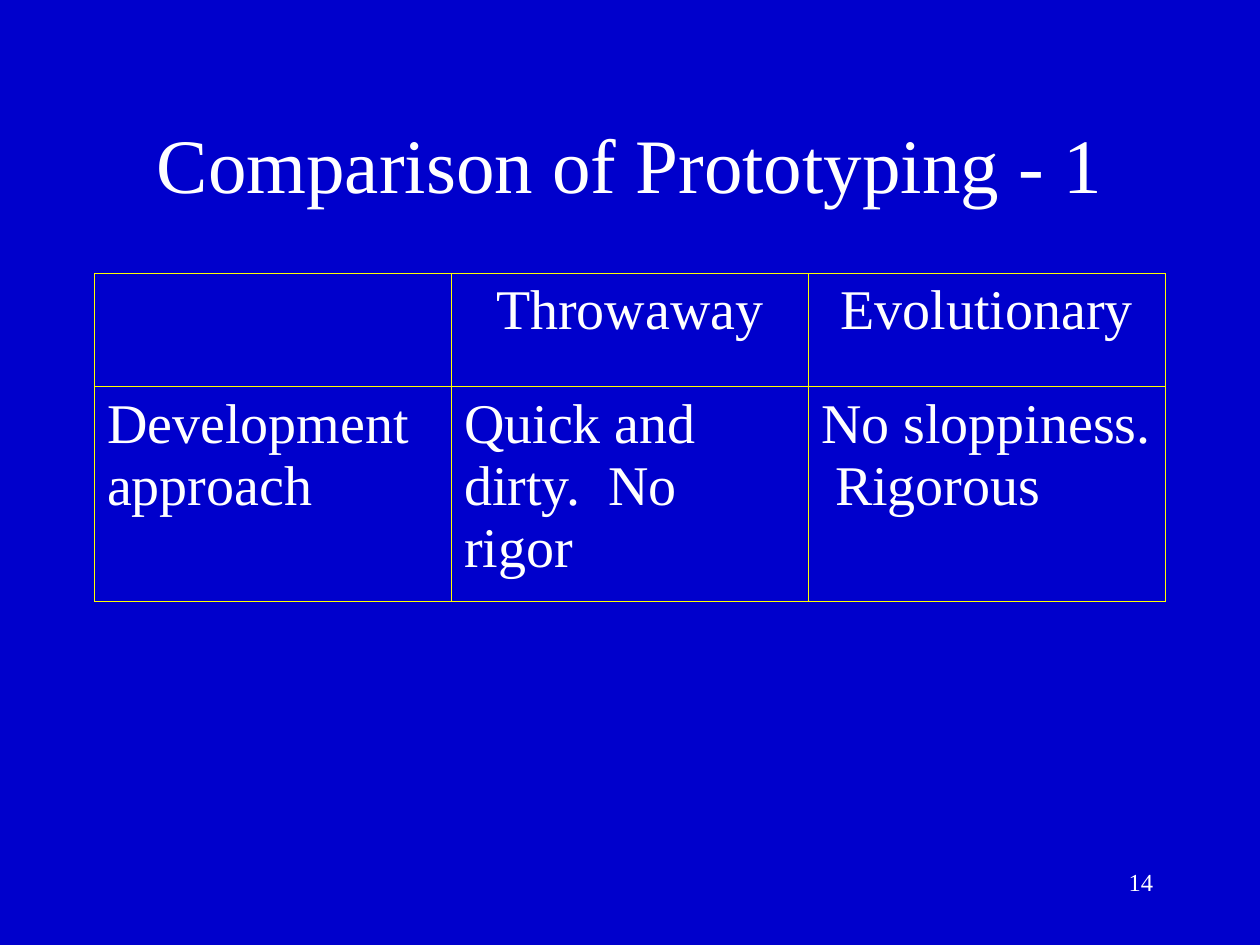
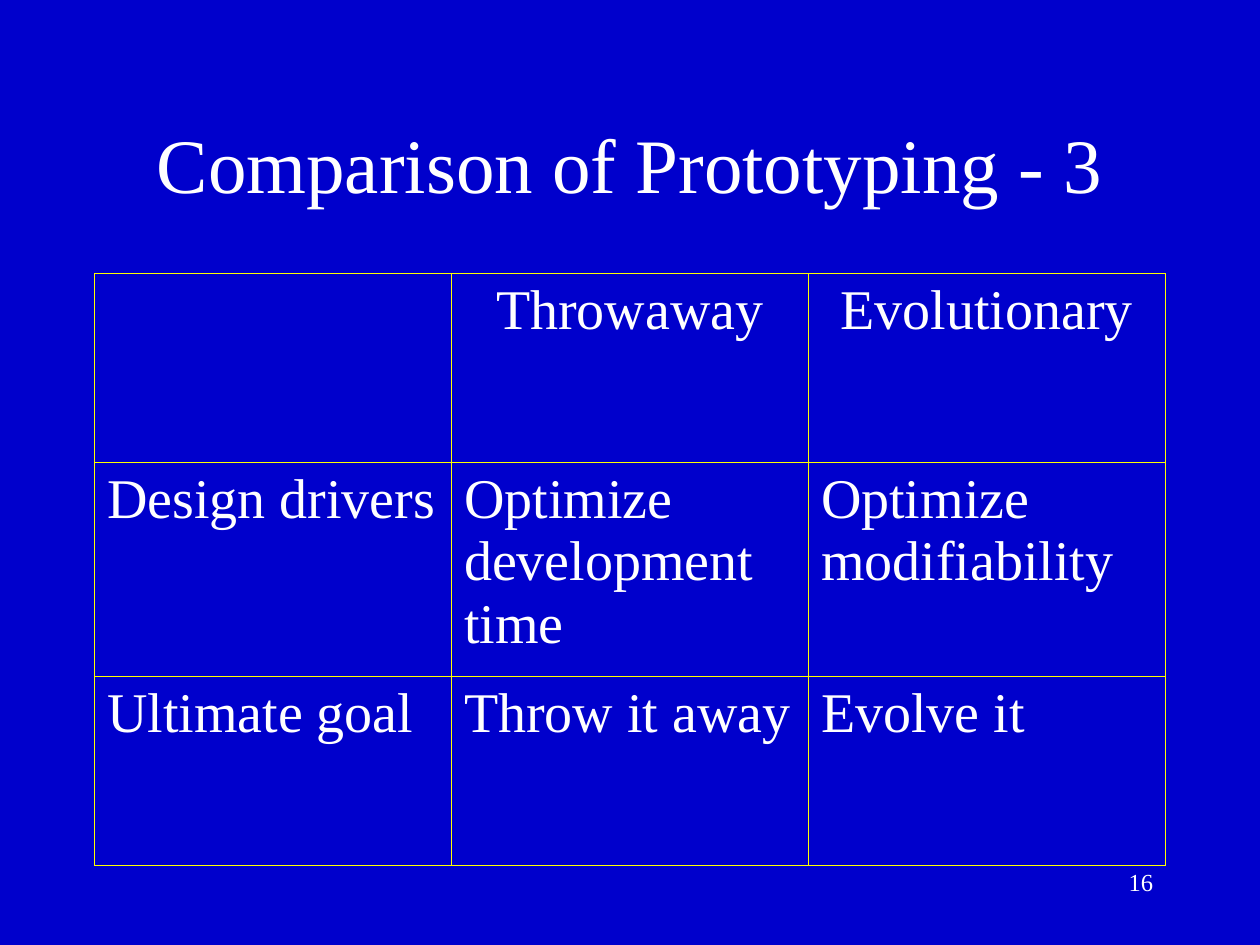
import pptx
import pptx.dml.color
import pptx.enum.text
import pptx.oxml
import pptx.oxml.ns
import pptx.util

Inches = pptx.util.Inches
Align = pptx.enum.text.PP_ALIGN

NAVY, WHITE, YELLOW = "0000CC", "FFFFFF", "FFFF00"
FONT = "Times New Roman"
LEFT, WIDTH = 0.75, 8.5
TITLE_BOX = (LEFT, 0.67, WIDTH, 1.25)
TABLE_TOP = 2.17
PAGE_BOX = (7.17, 6.83, 2.08, 0.5)
HEADS = ["", "Throwaway", "Evolutionary"]

SLIDES = [
    ("Comparison of Prototyping - 1", "14", [0.9, 1.7], [
        ["Development approach", "Quick and dirty.  No rigor",
         "No sloppiness.  Rigorous"],
    ]),
    ("Comparison of Prototyping - 3", "16", [1.5, 1.7, 1.5], [
        ["Design drivers", "Optimize development time",
         "Optimize modifiability"],
        ["Ultimate goal", "Throw it away", "Evolve it"],
    ]),
]


def color(code):
    return pptx.dml.color.RGBColor.from_string(code)


def write(frame, text, size, align):
    frame.text = text
    frame.word_wrap = True
    para = frame.paragraphs[0]
    para.alignment = align
    para.font.name = FONT
    para.font.size = pptx.util.Pt(size)
    para.font.color.rgb = color(WHITE)


def add_title(slide, text, box):
    title = slide.shapes.title
    title.left, title.top, title.width, title.height = map(Inches, box)
    frame = title.text_frame
    write(frame, text, 44, Align.CENTER)
    frame.auto_size = pptx.enum.text.MSO_AUTO_SIZE.NONE
    frame.vertical_anchor = pptx.enum.text.MSO_ANCHOR.MIDDLE


def add_edges(cell):
    """Draw a thin yellow line on all four sides of a cell."""
    props = cell._tc.get_or_add_tcPr()
    for side in "LRTB":
        props.append(pptx.oxml.parse_xml(
            f'<a:ln{side} {pptx.oxml.ns.nsdecls("a")} w="{pptx.util.Pt(0.45)}">'
            f'<a:solidFill><a:srgbClr val="{YELLOW}"/></a:solidFill>'
            f'</a:ln{side}>'))


def add_grid(slide, rows, heights, left, top, width):
    box = map(Inches, (left, top, width, sum(heights)))
    grid = slide.shapes.add_table(len(rows), len(rows[0]), *box).table
    grid.first_row = grid.horz_banding = False
    for r, (texts, height) in enumerate(zip(rows, heights)):
        grid.rows[r].height = Inches(height)
        for c, text in enumerate(texts):
            cell = grid.cell(r, c)
            add_edges(cell)
            cell.fill.background()
            align = Align.LEFT if r else Align.CENTER
            write(cell.text_frame, text, 32, align)


def add_page(slide, number, box):
    note = slide.shapes.add_textbox(*map(Inches, box))
    write(note.text_frame, number, 14, Align.RIGHT)


def main():
    deck = pptx.Presentation()
    deck.slide_width, deck.slide_height = Inches(10), Inches(7.5)
    fill = deck.slide_master.background.fill
    fill.solid()
    fill.fore_color.rgb = color(NAVY)
    for title, number, heights, body in SLIDES:
        slide = deck.slides.add_slide(deck.slide_layouts[5])
        add_title(slide, title, TITLE_BOX)
        add_grid(slide, [HEADS] + body, heights, LEFT, TABLE_TOP, WIDTH)
        add_page(slide, number, PAGE_BOX)
    deck.save("out.pptx")


if __name__ == "__main__":
    main()
